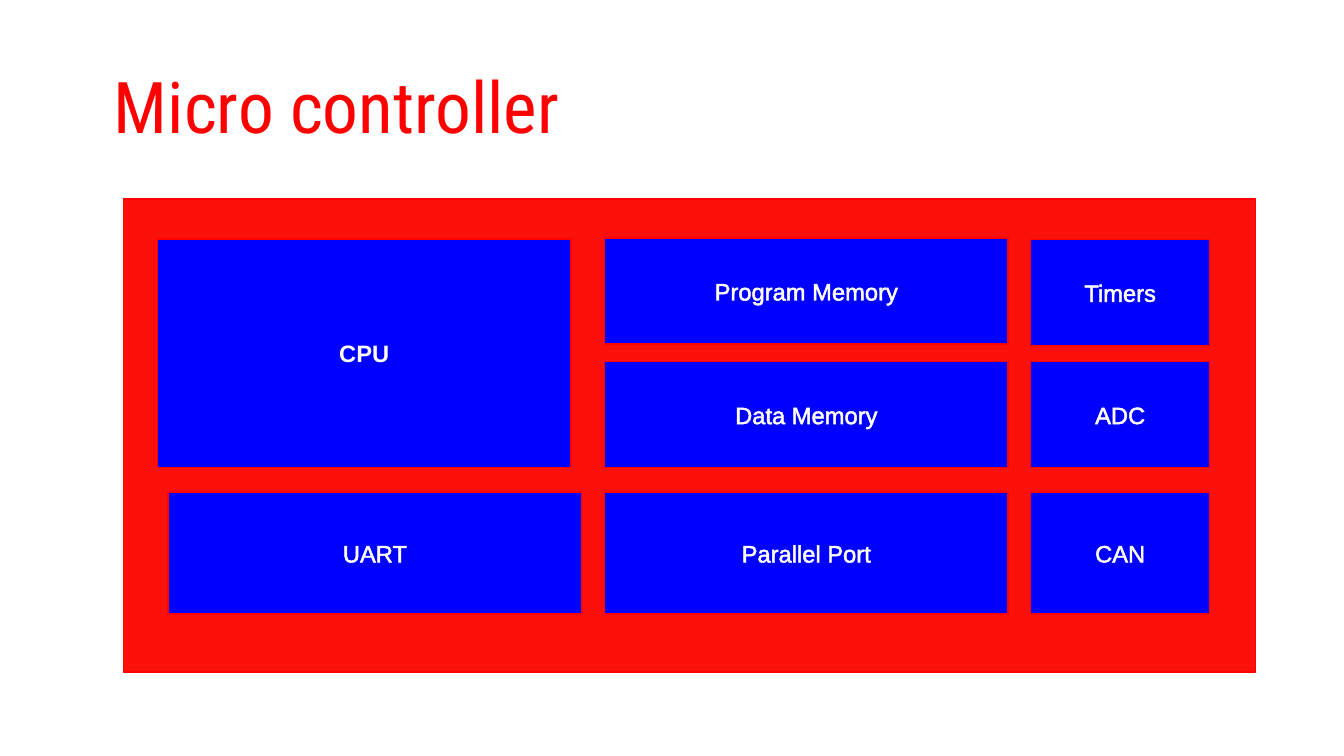
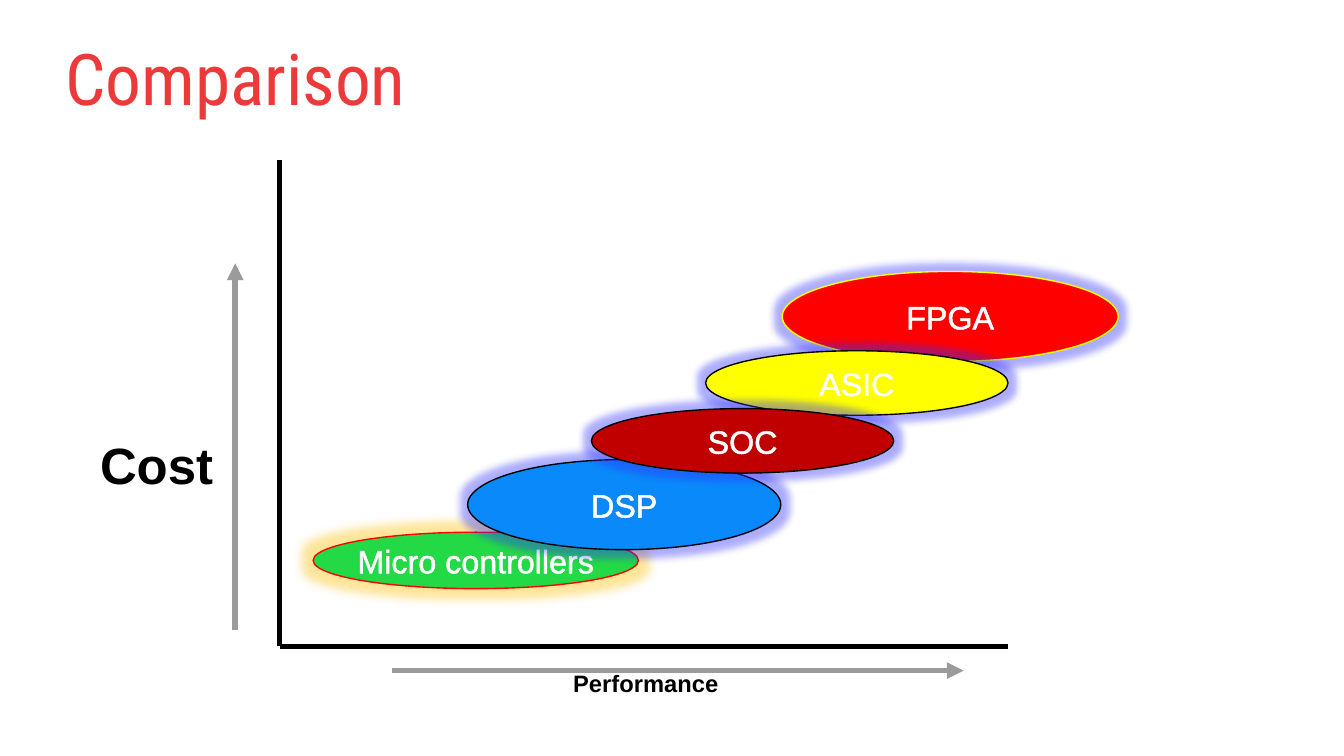
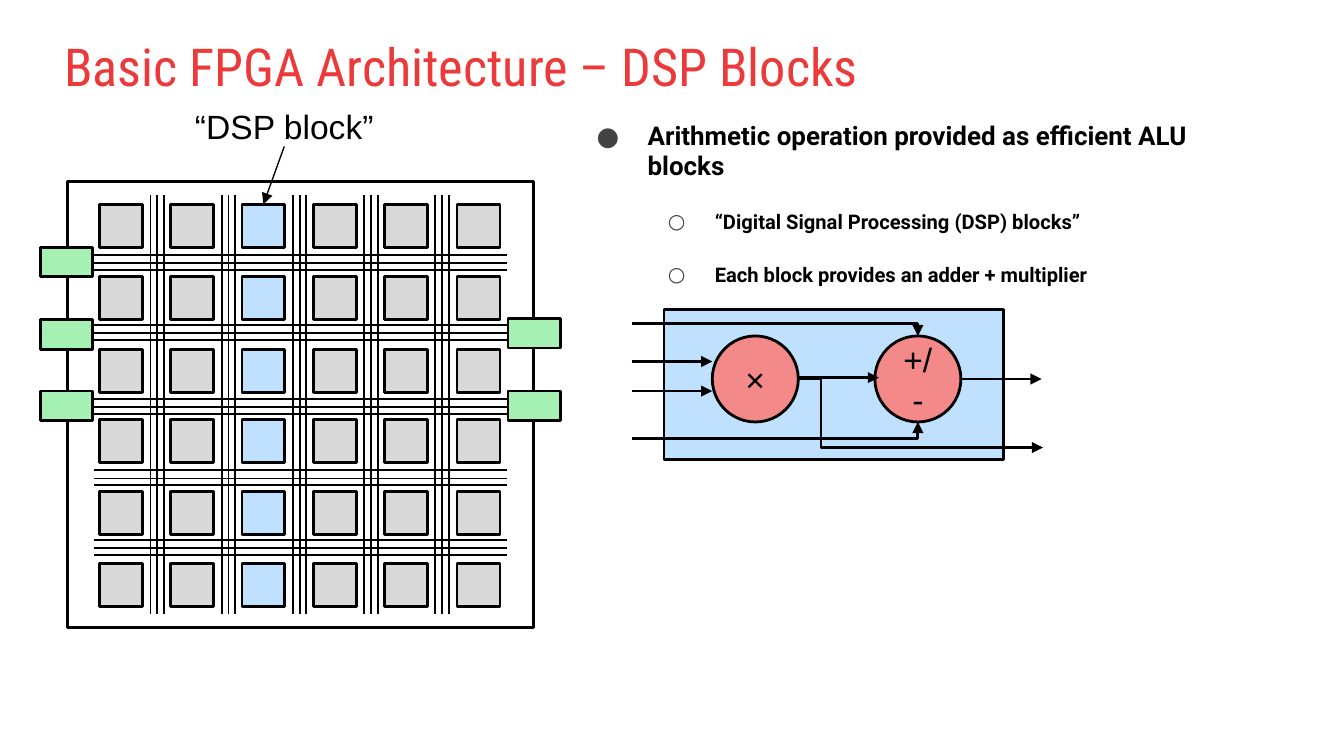
import lxml.etree
import pptx
import pptx.dml.color
import pptx.enum.shapes
import pptx.enum.text
import pptx.oxml.ns
import pptx.util

PX = 9144  # 100 px to the inch
COLORS = {
    "white": "FFFFFF", "black": "000000", "red": "FF0000", "chip red": "FC100A",
    "title red": "EC3A3B", "blue": "0000FF", "green": "23D946", "sky": "0989FA",
    "yellow": "FFFF00", "dark red": "C00000", "gray": "9B9B9B", "cell": "D9D9D9",
    "dsp": "BFE0FE", "port": "A5F1B3", "operator": "F48989", "bullet": "434343",
    "blue glow": "3333FF", "orange glow": "FFC000",
}
RGB = {name: pptx.dml.color.RGBColor.from_string(value) for name, value in COLORS.items()}
SHAPE = pptx.enum.shapes.MSO_SHAPE
CONNECTOR = pptx.enum.shapes.MSO_CONNECTOR
CENTER = pptx.enum.text.PP_ALIGN.CENTER
MIDDLE = pptx.enum.text.MSO_ANCHOR.MIDDLE
qn = pptx.oxml.ns.qn

# Format values shared by the slides
TITLE_FRAME = {"margin_top": 10 * PX, "margin_bottom": 10 * PX}
TITLE_FONT = {"name": "Roboto Condensed", "size": 38.2, "color": "title red"}
LABEL_FONT = {"name": "Arial", "size": 12.7, "color": "white"}
AXIS_FONT = {"name": "Arial", "size": 12.7, "color": "black", "bold": True}
SYMBOL_FONT = {"name": "Arial", "size": 18, "color": "black"}
NO_WRAP = {"word_wrap": False}
NO_MARGINS = {f"margin_{side}": 0 for side in ("left", "top", "right", "bottom")}


def add_box(shapes, kind, box, text="", font=None, frame=None, align=CENTER,
            fill=None, line="black", width=1.5, outlined=False):
    """Add a preset shape, or a text box when kind is None."""
    lengths = [length * PX for length in box]
    if kind is None:
        shape = shapes.add_textbox(*lengths)
    else:
        shape = shapes.add_shape(kind, *lengths)
        shape.shadow.inherit = False
        shape.fill.solid()
        shape.fill.fore_color.rgb = RGB[fill]
        shape.line.color.rgb = RGB[line]
        shape.line.width = pptx.util.Pt(width)
    if text:
        text_frame = shape.text_frame
        settings = {"word_wrap": True, "vertical_anchor": MIDDLE, **(frame or {})}
        for name, value in settings.items():
            setattr(text_frame, name, value)
        paragraph = text_frame.paragraphs[0]
        paragraph.alignment = align
        run = paragraph.add_run()
        run.text = text
        values = {**font, "size": pptx.util.Pt(font["size"])}
        run.font.color.rgb = RGB[values.pop("color")]
        for name, value in values.items():
            setattr(run.font, name, value)
        if outlined:
            run_properties = run._r.get_or_add_rPr()
            outline = lxml.etree.Element(qn("a:ln"), w="18415")
            outline_fill = lxml.etree.SubElement(outline, qn("a:solidFill"))
            lxml.etree.SubElement(outline_fill, qn("a:srgbClr"), val=COLORS["white"])
            run_properties.insert(0, outline)
    return shape


def add_line(shapes, ends, width, color="black", arrow=True, kind=CONNECTOR.STRAIGHT):
    connector = shapes.add_connector(kind, *[length * PX for length in ends])
    connector.line.color.rgb = RGB[color]
    connector.line.width = pptx.util.Pt(width)
    properties = connector._element.spPr
    if arrow:
        lxml.etree.SubElement(properties.find(qn("a:ln")), qn("a:tailEnd"), type="triangle")
    lxml.etree.SubElement(properties, qn("a:effectLst"))
    return connector


presentation = pptx.Presentation()
presentation.slide_width = 1000 * PX
presentation.slide_height = 1000 * PX * 9 // 16

# Slides and their titles
slides = []
for title, box, font in (
    ("Micro controller", (75, 45, 867, 67), {"color": "red"}),
    ("Comparison", (39, 24, 867, 67), {}),
    ("Basic FPGA Architecture – DSP Blocks", (38, 22, 845, 53), {"size": 28}),
):
    slide = presentation.slides.add_slide(presentation.slide_layouts[6])
    add_box(slide.shapes, None, box, title, {**TITLE_FONT, **font}, TITLE_FRAME, align=None)
    slides.append(slide)
controller_shapes, comparison_shapes, fpga_shapes = [slide.shapes for slide in slides]

# Micro controller: chip and its units
add_box(controller_shapes, SHAPE.RECTANGLE, (92, 148, 842, 352),
        fill="chip red", line="red", width=0.75)
for unit, box in (
    ("UART", (125, 366, 308, 91)),
    ("CPU", (117, 178, 308, 170)),
    ("Parallel Port", (450, 366, 300, 91)),
    ("Program Memory", (450, 177, 300, 79)),
    ("Data Memory", (450, 269, 300, 79)),
    ("Timers", (767, 178, 133, 79)),
    ("ADC", (767, 269, 133, 79)),
    ("CAN", (767, 366, 133, 91)),
):
    is_cpu = unit == "CPU"
    add_box(controller_shapes, SHAPE.RECTANGLE, box, unit, {**LABEL_FONT, "bold": is_cpu},
            NO_WRAP, fill="blue", line="red", width=0.75, outlined=not is_cpu)

# Comparison: axes, direction arrows and axis labels
for ends in ((208, 119, 208, 481), (208, 481, 750, 481)):
    add_line(comparison_shapes, ends, 3, arrow=False)
for ends in ((292, 499, 717, 499), (175, 469, 175, 196)):
    add_line(comparison_shapes, ends, 3, "gray")
add_box(comparison_shapes, None, (-317, 312, 867, 67), "Cost", {**AXIS_FONT, "size": 27.3})
add_box(comparison_shapes, None, (25, 475, 911, 67), "Performance", AXIS_FONT)

# Comparison: glowing ellipses
for device, box, fill, line, glow_color, radius in (
    ("Micro controllers", (233, 396, 242, 42), "green", "red", "orange glow", 11),
    ("DSP", (348, 342, 233, 67), "sky", "black", "blue glow", 8),
    ("FPGA", (582, 202, 250, 67), "red", "yellow", "blue glow", 8),
    ("ASIC", (525, 261, 225, 48), "yellow", "black", "blue glow", 8),
    ("SOC", (440, 304, 225, 48), "dark red", "black", "blue glow", 8),
):
    ellipse = add_box(comparison_shapes, SHAPE.OVAL, box, device, {**LABEL_FONT, "size": 17.3},
                      NO_WRAP, fill=fill, line=line, width=0.75, outlined=True)
    effects = ellipse._element.spPr.find(qn("a:effectLst"))
    glow = lxml.etree.SubElement(effects, qn("a:glow"), rad=str(pptx.util.Pt(radius)))
    glow_fill = lxml.etree.SubElement(glow, qn("a:srgbClr"), val=COLORS[glow_color])
    lxml.etree.SubElement(glow_fill, qn("a:alpha"), val="40000")

# FPGA: chip with a grid of cells, the third column being DSP blocks
add_box(fpga_shapes, SHAPE.RECTANGLE, (50, 135, 347, 332), fill="white")
cells = fpga_shapes.add_group_shape().shapes
DSP_COLUMN = 2
dsp_cells = []
for column in range(6):
    for top in (152, 206, 260, 312, 366, 419):
        is_dsp = column == DSP_COLUMN
        cell = add_box(cells, SHAPE.RECTANGLE, (74 + 266 * column // 5, top, 32, 32),
                       fill="dsp" if is_dsp else "cell")
        if is_dsp:
            dsp_cells.append(cell)

# FPGA: routing wires in bundles of three
wires = fpga_shapes.add_group_shape().shapes
for left in range(112, 325, 53):
    for offset in (0, 5, 10):
        add_line(wires, (left + offset, 145, left + offset, 457), 1, arrow=False)
for top in (190, 242, 297, 350, 402):
    for offset in (0, 6, 11):
        add_line(wires, (70, top + offset, 377, top + offset), 1, arrow=False)

# FPGA: ports on the chip's edges
for left, top in ((30, 184), (30, 238), (378, 237), (30, 291), (378, 291)):
    add_box(fpga_shapes, SHAPE.RECTANGLE, (left, top, 39, 22), fill="port")

# FPGA: bulleted text
body = add_box(fpga_shapes, None, (422, 81, 522, 149)).text_frame
for name, value in {"word_wrap": True, **TITLE_FRAME}.items():
    setattr(body, name, value)
for index, (text, level) in enumerate((
    ("Arithmetic operation provided as efficient ALU blocks", 0),
    ("“Digital Signal Processing (DSP) blocks”", 1),
    ("Each block provides an adder + multiplier", 1),
)):
    paragraph = body.add_paragraph() if index else body.paragraphs[0]
    margin, indent, bullet, size = ((50, -38, "●", 13.9), (100, -35, "○", 10.8))[level]
    properties = paragraph._p.get_or_add_pPr()
    properties.set("marL", str(margin * PX))
    properties.set("indent", str(indent * PX))
    bullet_color = lxml.etree.SubElement(properties, qn("a:buClr"))
    lxml.etree.SubElement(bullet_color, qn("a:srgbClr"), val=COLORS["bullet"])
    lxml.etree.SubElement(properties, qn("a:buFont"), typeface="Roboto")
    lxml.etree.SubElement(properties, qn("a:buChar"), char=bullet)
    paragraph.level = level
    paragraph.line_spacing = 0.95
    if index:
        paragraph.space_before = pptx.util.Pt(16)
    run = paragraph.add_run()
    run.text = text
    run.font.color.rgb = RGB["black"]
    for name, value in {"name": "Roboto", "size": pptx.util.Pt(size), "bold": True}.items():
        setattr(run.font, name, value)

# FPGA: callout to the first DSP block
callout = add_box(fpga_shapes, None, (144, 79, 135, 30), "“DSP block”", SYMBOL_FONT,
                  {**NO_WRAP, **NO_MARGINS})
pointer = add_line(fpga_shapes, (211, 109, 196, 152), 0.75)
pointer.begin_connect(callout, 2)
pointer.end_connect(dsp_cells[0], 0)

# FPGA: inside of a DSP block
add_box(fpga_shapes, SHAPE.RECTANGLE, (494, 230, 253, 112), fill="dsp")
for symbol, left in (("×", 530), ("+/-", 651)):
    add_box(fpga_shapes, SHAPE.OVAL, (left, 250, 64, 64), symbol, SYMBOL_FONT, fill="operator")
for ends in ((470, 291, 530, 291), (470, 269, 530, 269),
             (594, 281, 654, 281), (715, 282, 775, 282)):
    add_line(fpga_shapes, ends, 1.5)
for ends in ((470, 326, 683, 314), (470, 241, 683, 250)):
    elbow = add_line(fpga_shapes, ends, 1.5, kind=CONNECTOR.ELBOW)
    elbow._element.spPr.find(qn("a:prstGeom")).set("prst", "bentConnector2")
bypass = add_line(fpga_shapes, (594, 282, 776, 333), 1.5, kind=CONNECTOR.ELBOW)
bends = bypass._element.spPr.find(qn("a:prstGeom")).find(qn("a:avLst"))
lxml.etree.SubElement(bends, qn("a:gd"), name="adj1", fmla="val 9300")

presentation.save("out.pptx")
